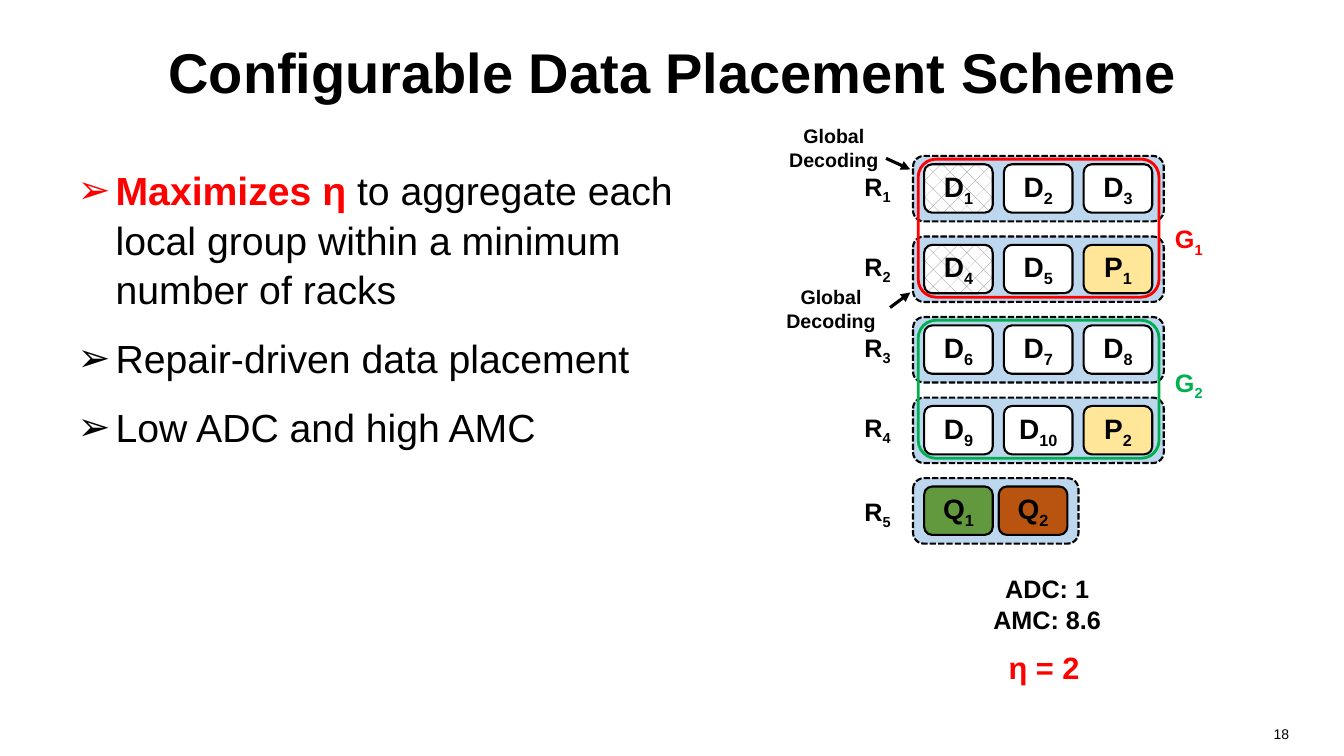
from dataclasses import dataclass

from lxml.etree import SubElement
from pptx import Presentation
from pptx.dml.color import RGBColor
from pptx.enum.dml import MSO_LINE, MSO_PATTERN
from pptx.enum.shapes import MSO_CONNECTOR, MSO_SHAPE
from pptx.enum.text import MSO_ANCHOR, MSO_AUTO_SIZE, PP_ALIGN
from pptx.oxml.ns import qn
from pptx.util import Cm, Pt

FONT = "Arial"
BLACK, WHITE, RED, GREEN = "000000", "FFFFFF", "FF0000", "00B050"
RACK_FILL, PARITY, HATCH = "BDD7EE", "FFE699", "hatch"
RACK_LEFT, RACK_TOP, RACK_H, RACK_PITCH = 23.01, 3.93, 1.65, 2.03
BLOCK_LEFT, BLOCK_W, BLOCK_H = 23.29, 1.73, 1.22


@dataclass
class Block:
    label: str
    fill: str = WHITE


@dataclass
class Rack:
    blocks: list[Block]
    width: float = 6.32
    block_pitch: float = 2.01
    label_drop: float = 0.25


@dataclass
class Group:
    label: str
    first_rack: int
    label_top: float
    color: str


@dataclass
class Label:
    text: str
    box: tuple[float, float, float, float]
    size: float
    color: str = BLACK
    bold: bool = True
    align: PP_ALIGN = PP_ALIGN.CENTER
    wrap: bool = True


@dataclass
class Arrow:
    start: tuple[float, float]
    end: tuple[float, float]


RACKS = [
    Rack([Block("D_1", HATCH), Block("D_2"), Block("D_3")]),
    Rack([Block("D_4", HATCH), Block("D_5"), Block("P_1", PARITY)]),
    Rack([Block("D_6"), Block("D_7"), Block("D_8")]),
    Rack([Block("D_9"), Block("D_10"), Block("P_2", PARITY)]),
    Rack([Block("Q_1", "62983E"), Block("Q_2", "B85410")], 4.17, 1.88, 0.33),
]
GROUPS = [Group("G_1", 0, 5.51, RED), Group("G_2", 2, 9.12, GREEN)]
LABELS = [
    Label("18", (24.84, 18.16, 7.9, 0.89), 10, bold=False, align=PP_ALIGN.RIGHT),
    Label("η = 2", (25.17, 16.21, 2.59, 1.19), 22, RED, align=PP_ALIGN.LEFT),
    Label("ADC: 1\nAMC: 8.6", (24.36, 14.33, 4.06, 1.8), 18),
    Label("Global\nDecoding", (19.63, 3, 2.77, 1.45), 14, wrap=False),
    Label("Global\nDecoding", (19.56, 7.06, 2.77, 1.45), 14, wrap=False),
]
ARROWS = [Arrow((22.33, 3.99), (22.94, 4.27)), Arrow((22.43, 7.75), (22.94, 7.37))]
BULLETS = [
    [("Maximizes η ", RED, True),
     ("to aggregate each local group within a minimum number of racks", BLACK, False)],
    [("Repair-driven data placement", BLACK, False)],
    [("Low ADC and high AMC", BLACK, False)],
]


def rgb(color: str) -> RGBColor:
    return RGBColor.from_string(color)


def add_run(p, text: str, *, size: float, color: str = BLACK, bold: bool = True,
            sub: bool = False) -> None:
    r = p.add_run()
    r.text = text
    r.font.name, r.font.size, r.font.bold = FONT, Pt(size), bold
    r.font.color.rgb = rgb(color)
    if sub:
        r.font._element.set("baseline", "-25000")


def write(tf, text: str, *, align: PP_ALIGN = PP_ALIGN.CENTER, **fmt) -> None:
    for i, line in enumerate(text.split("\n")):
        p = tf.add_paragraph() if i else tf.paragraphs[0]
        p.alignment = align
        base, _, index = line.partition("_")
        add_run(p, base, **fmt)
        if index:
            add_run(p, index, sub=True, **fmt)


def place(sp, box: tuple[float, float, float, float]) -> None:
    sp.left, sp.top, sp.width, sp.height = map(Cm, box)


def add_round_rect(shapes, box: tuple[float, float, float, float], fill: str | None,
                   line: str = BLACK, width: float = 1.5):
    sp = shapes.add_shape(MSO_SHAPE.ROUNDED_RECTANGLE, *map(Cm, box))
    sp.shadow.inherit = False
    if fill is None:
        sp.fill.background()
    elif fill == HATCH:
        sp.fill.patterned()
        sp.fill.pattern = MSO_PATTERN.DIAGONAL_BRICK
        sp.fill.fore_color.rgb = rgb("808080")
        sp.fill.back_color.rgb = rgb(WHITE)
    else:
        sp.fill.solid()
        sp.fill.fore_color.rgb = rgb(fill)
    sp.line.color.rgb = rgb(line)
    sp.line.width = Pt(width)
    return sp


def add_label(shapes, label: Label) -> None:
    tf = shapes.add_textbox(*map(Cm, label.box)).text_frame
    tf.word_wrap = label.wrap
    write(tf, label.text, align=label.align, size=label.size, color=label.color,
          bold=label.bold)


def add_rack(shapes, number: int, rack: Rack) -> None:
    top = RACK_TOP + (number - 1) * RACK_PITCH
    sp = add_round_rect(shapes, (RACK_LEFT, top, rack.width, RACK_H), RACK_FILL)
    sp.line.dash_style = MSO_LINE.SQUARE_DOT
    for i, block in enumerate(rack.blocks):
        left = BLOCK_LEFT + i * rack.block_pitch
        sp = add_round_rect(shapes, (left, top + 0.21, BLOCK_W, BLOCK_H), block.fill)
        tf = sp.text_frame
        tf.margin_left = tf.margin_right = tf.margin_top = tf.margin_bottom = 0
        tf.vertical_anchor = MSO_ANCHOR.MIDDLE
        write(tf, block.label, size=20)
    add_label(shapes, Label(f"R_{number}", (21.44, top + rack.label_drop, 1.35, 1.02), 18))


def add_group(shapes, group: Group) -> None:
    top = RACK_TOP + group.first_rack * RACK_PITCH + 0.08
    sp = add_round_rect(shapes, (23.14, top, 6.07, 3.48), None, group.color, 2)
    sp.adjustments[0] = 0.13
    add_label(shapes, Label(group.label, (29.31, group.label_top, 1.3, 1.02), 18, group.color))


def add_arrow(shapes, arrow: Arrow) -> None:
    sp = shapes.add_connector(MSO_CONNECTOR.STRAIGHT, *map(Cm, arrow.start + arrow.end))
    sp.line.color.rgb = rgb(BLACK)
    sp.line.width = Pt(2.25)
    SubElement(sp.line._get_or_add_ln(), qn("a:tailEnd"), type="triangle")
    SubElement(sp._element.spPr, qn("a:effectLst"))


def fill_body(sp) -> None:
    place(sp, (1.7, 4.01, 17.63, 13))
    tf = sp.text_frame
    tf.auto_size = MSO_AUTO_SIZE.NONE
    tf.vertical_anchor = MSO_ANCHOR.TOP
    for i, bullet in enumerate(BULLETS):
        p = tf.add_paragraph() if i else tf.paragraphs[0]
        pPr = p._p.get_or_add_pPr()
        pPr.set("marL", str(Cm(0.96)))
        pPr.set("indent", str(-Cm(0.96)))
        SubElement(pPr, qn("a:buFont"), typeface=FONT)
        SubElement(pPr, qn("a:buChar"), char="➢")
        p.line_spacing = 1.05
        p.space_before = Pt(14 if i else 0)
        for text, color, bold in bullet:
            add_run(p, text, size=28, color=color, bold=bold)


def main() -> None:
    prs = Presentation()
    prs.slide_width, prs.slide_height = Cm(33.87), Cm(19.05)
    slide = prs.slides.add_slide(prs.slide_layouts[1])
    shapes = slide.shapes
    title = shapes.title
    place(title, (1.7, 0.2, 30.48, 3.18))
    title.text_frame.vertical_anchor = MSO_ANCHOR.MIDDLE
    write(title.text_frame, "Configurable Data Placement Scheme", size=40)
    fill_body(slide.placeholders[1])
    for number, rack in enumerate(RACKS, 1):
        add_rack(shapes, number, rack)
    for group in GROUPS:
        add_group(shapes, group)
    for label in LABELS:
        add_label(shapes, label)
    for arrow in ARROWS:
        add_arrow(shapes, arrow)
    prs.save("out.pptx")


if __name__ == "__main__":
    main()
